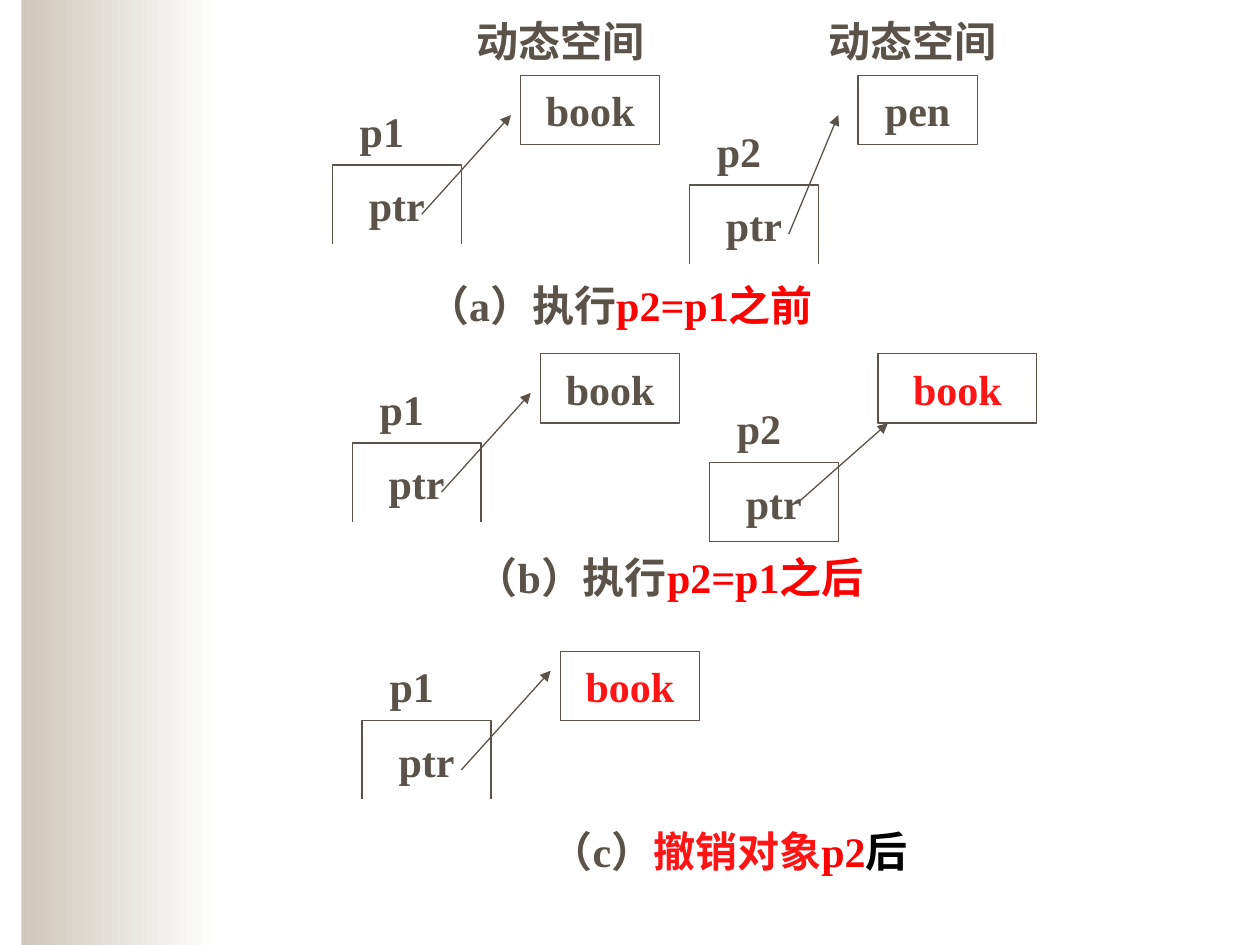
from typing import NamedTuple

from lxml import etree
from pptx import Presentation, util as u
from pptx.dml.color import RGBColor
from pptx.enum import shapes, text
from pptx.oxml import ns

BROWN = RGBColor(0x5B, 0x52, 0x49)
BEIGE = RGBColor(0xCE, 0xC8, 0xBA)
WHITE = RGBColor(0xFF, 0xFF, 0xFF)
BLACK = RGBColor(0, 0, 0)
RED = RGBColor(0xFF, 0, 0)
LIGHT_RED = RGBColor(0xFF, 0x15, 0x15)
FONT = "Times New Roman"


class Run(NamedTuple):
    text: str
    color: RGBColor = BROWN


class Label(NamedTuple):
    """Text without a frame; lengths in cm."""
    x: float
    y: float
    w: float
    h: float
    runs: list[Run]


class Target(NamedTuple):
    """Framed dynamic memory block."""
    x: float
    y: float
    w: float
    run: Run


class Pointer(NamedTuple):
    """Named object with its ptr cell and the arrow leaving it."""
    name: str
    x: float
    y: float
    start: tuple[float, float]
    end: tuple[float, float]


class Stage(NamedTuple):
    targets: list[Target]
    pointers: list[Pointer]
    caption: Label


HEADINGS = [Label(x, 0.13, 4, 1.4, [Run("动态空间")]) for x in (9.3, 16.4)]

STAGES = [
    Stage(
        [Target(17.3, 1.52, 2.4, Run("pen")), Target(10.5, 1.52, 2.8, Run("book"))],
        [Pointer("p1", 6.7, 3.33, (8.5, 4.32), (10.3, 2.32)),
         Pointer("p2", 13.9, 3.73, (15.9, 4.72), (16.9, 2.32))],
        Label(5.9, 5.54, 13.2, 1.2, [Run("（a）执行"), Run("p2=p1之前", RED)]),
    ),
    Stage(
        [Target(17.7, 7.13, 3.2, Run("book", LIGHT_RED)),
         Target(10.9, 7.13, 2.8, Run("book"))],
        [Pointer("p1", 7.1, 8.93, (8.9, 9.92), (10.7, 7.92)),
         Pointer("p2", 14.3, 9.33, (16.1, 10.12), (17.9, 8.53))],
        Label(9.1, 11.13, 8.8, 1, [Run("（b）执行"), Run("p2=p1之后", RED)]),
    ),
    Stage(
        [Target(11.3, 13.13, 2.8, Run("book", LIGHT_RED))],
        [Pointer("p1", 7.3, 14.53, (9.3, 15.52), (11.1, 13.52))],
        Label(10.3, 16.54, 8.8, 1.2, [Run("（c）"), Run("撤销对象", LIGHT_RED),
                                      Run("p2", RED), Run("后", BLACK)]),
    ),
]


def write(tf, runs: list[Run]) -> None:
    tf.word_wrap = False
    tf.vertical_anchor = text.MSO_ANCHOR.MIDDLE
    p = tf.paragraphs[0]
    p.alignment = text.PP_ALIGN.CENTER
    for run in runs:
        r = p.add_run()
        r.text = run.text
        r.font.name, r.font.size, r.font.bold = FONT, u.Pt(24), True
        r.font.color.rgb = run.color


def add_label(s, label: Label) -> None:
    box = s.shapes.add_textbox(*map(u.Cm, label[:4]))
    write(box.text_frame, label.runs)


def add_rect(s, x: float, y: float, w: float, h: float, line: RGBColor | None = BROWN):
    sp = s.shapes.add_shape(shapes.MSO_SHAPE.RECTANGLE, *map(u.Cm, (x, y, w, h)))
    sp.shadow.inherit = False
    sp.fill.background()
    if line is None:
        sp.line.fill.background()
    else:
        sp.line.color.rgb = line
        sp.line.width = u.Pt(0.75)
    return sp


def add_arrow(s, start: tuple[float, float], end: tuple[float, float]) -> None:
    c = s.shapes.add_connector(shapes.MSO_CONNECTOR.STRAIGHT, *map(u.Cm, start + end))
    c.line.color.rgb = BROWN
    c.line.width = u.Pt(0.75)
    etree.SubElement(c.line._get_or_add_ln(), ns.qn("a:tailEnd"), type="triangle")
    etree.SubElement(c._element.spPr, ns.qn("a:effectLst"))


def add_pointer(s, ptr: Pointer) -> None:
    cell = add_rect(s, ptr.x, ptr.y, 2.6, 1.6)
    write(cell.text_frame, [Run("ptr")])
    add_label(s, Label(ptr.x, ptr.y - 1.2, 2, 1, [Run(ptr.name)]))
    # White strip that leaves the cell open at the bottom
    strip = add_rect(s, ptr.x - 0.4, ptr.y + 1.6, 3.6, 1, WHITE)
    strip.fill.solid()
    strip.fill.fore_color.rgb = WHITE


def add_stage(s, stage: Stage) -> None:
    for target in stage.targets:
        block = add_rect(s, target.x, target.y, target.w, 1.4)
        write(block.text_frame, [target.run])
    for ptr in stage.pointers:
        add_pointer(s, ptr)
    for ptr in stage.pointers:
        add_arrow(s, ptr.start, ptr.end)
    add_label(s, stage.caption)


def main() -> None:
    prs = Presentation()
    prs.slide_width, prs.slide_height = u.Cm(25.4), u.Cm(19.05)
    s = prs.slides.add_slide(prs.slide_layouts[6])

    # Side band fading to white
    band = add_rect(s, 0.43, 0, 4.01, 19.05, None)
    band.fill.gradient()
    band.fill.gradient_angle = 0
    for stop, color in zip(band.fill.gradient_stops, (BEIGE, WHITE)):
        stop.color.rgb = color

    # Column headings and the three stages
    for heading in HEADINGS:
        add_label(s, heading)
    for stage in STAGES:
        add_stage(s, stage)

    prs.save("out.pptx")


if __name__ == "__main__":
    main()
